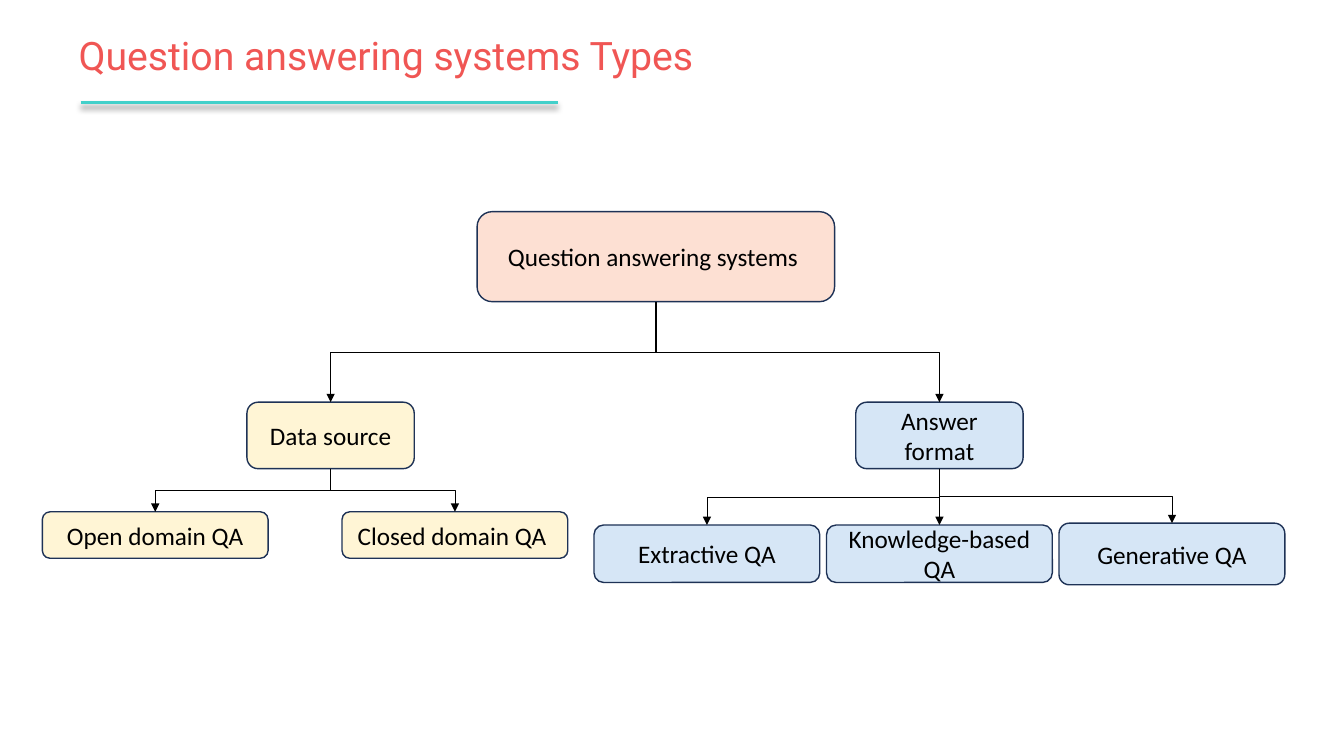
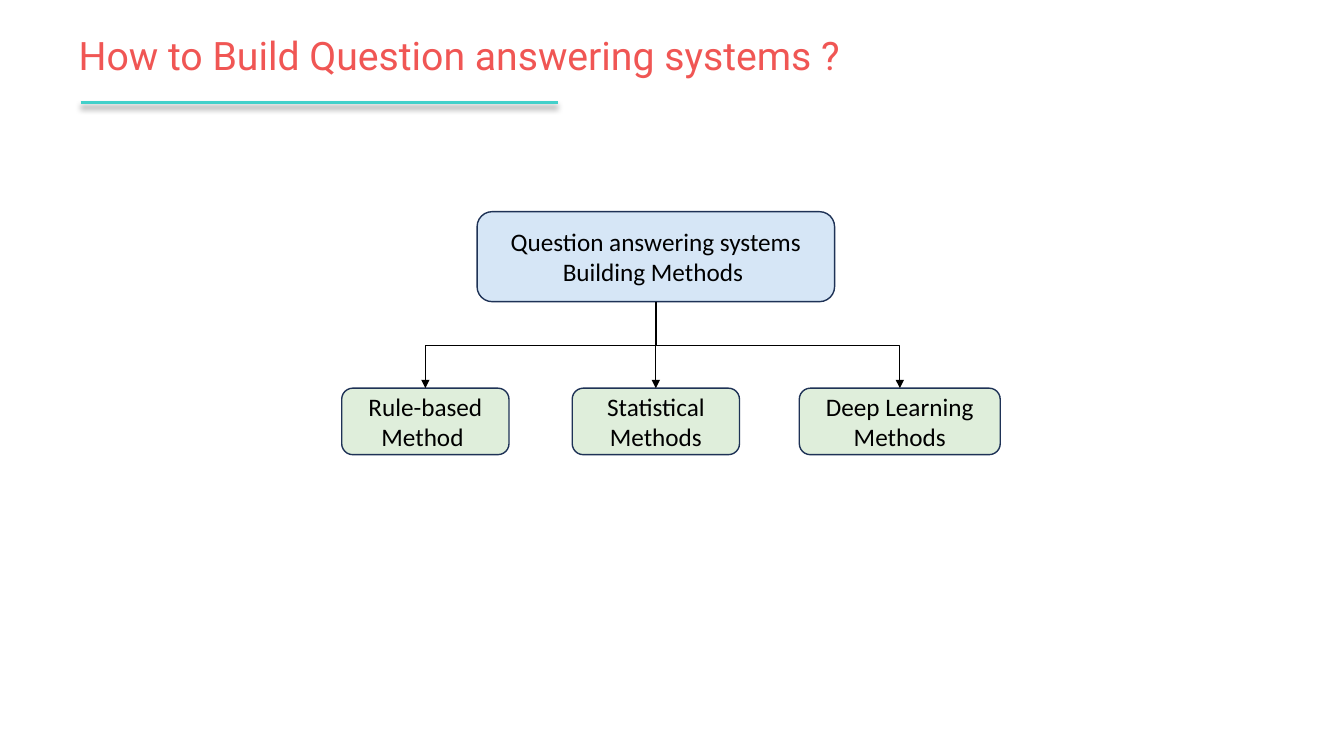
"""Build two slides that show question answering systems as tree diagrams."""
from lxml import etree
from pptx import Presentation, util as u
from pptx.dml.color import RGBColor
from pptx.enum import shapes, text
from pptx.oxml import parse_xml
from pptx.oxml.ns import nsdecls, qn

CORAL, TEAL, NAVY, BLACK = "F05654", "43D0CA", "1E3256", "000000"
PEACH, CREAM, SKY, MINT = "FDE0D3", "FFF5D5", "D6E6F6", "DFEEDB"

ROOT = (48.8, 28, 26.6, 11.9)
BRANCH = (12.45, 8.8)
LEAF_WIDTH = 16.8
DATA_LEAF = (67.7, LEAF_WIDTH, 6.15)
ANSWER_LEAF = (69.45, LEAF_WIDTH, 7.6)
DATA_X, ANSWER_X, ANSWER_STEP = 24.6, 69.9, 17.3
METHOD_TOP = 51.35

# Each node: label, parent label, fill, centre column, top row, columns wide, rows high.
SLIDES = [
    ("Question answering systems Types", [
        ("Question answering systems ", None, PEACH, *ROOT),
        ("Data source", "Question answering systems ", CREAM, DATA_X, 53.2, *BRANCH),
        ("Answer format", "Question answering systems ", SKY, ANSWER_X, 53.2, *BRANCH),
        ("Open domain QA", "Data source", CREAM, 11.55, *DATA_LEAF),
        ("Closed domain QA ", "Data source", CREAM, 33.85, *DATA_LEAF),
        ("Extractive QA", "Answer format", SKY, ANSWER_X - ANSWER_STEP, *ANSWER_LEAF),
        ("Knowledge-based QA", "Answer format", SKY, ANSWER_X, *ANSWER_LEAF),
        ("Generative QA", "Answer format", SKY, ANSWER_X + ANSWER_STEP, 69.2, LEAF_WIDTH, 8.15),
    ]),
    ("How to Build Question answering systems ?", [
        ("Question answering systems\nBuilding Methods ", None, SKY, *ROOT),
        ("Rule-based\nMethod ", "Question answering systems\nBuilding Methods ", MINT,
         31.65, METHOD_TOP, *BRANCH),
        ("Statistical Methods", "Question answering systems\nBuilding Methods ", MINT,
         48.8, METHOD_TOP, *BRANCH),
        ("Deep Learning Methods", "Question answering systems\nBuilding Methods ", MINT,
         66.95, METHOD_TOP, 14.95, 8.8),
    ]),
]


def paint(color_format, color):
    color_format.rgb = RGBColor.from_string(color)


def add_line(slide, kind, ends, color, points):
    line = slide.shapes.add_connector(kind, *[int(end) for end in ends])
    paint(line.line.color, color)
    line.line.width = u.Pt(points)
    effects = etree.SubElement(line._element.spPr, qn("a:effectLst"))
    return line, effects


presentation = Presentation()
presentation.slide_width, presentation.slide_height = u.Inches(13.33), u.Inches(7.5)
column, row = presentation.slide_width / 100, presentation.slide_height / 100
title_only = presentation.slide_layouts.get_by_name("Title Only")

for heading, nodes in SLIDES:
    slide = presentation.slides.add_slide(title_only)

    underline, effects = add_line(
        slide, shapes.MSO_CONNECTOR.STRAIGHT,
        (6 * column, 13.6 * row, 41.5 * column, 13.6 * row), TEAL, 2.25)
    effects.append(parse_xml(
        f'<a:outerShdw {nsdecls("a")} blurRad="{u.Pt(4)}" dist="{u.Pt(3)}" dir="5400000" '
        'rotWithShape="0"><a:srgbClr val="000000"><a:alpha val="40000"/></a:srgbClr></a:outerShdw>'))

    title = slide.shapes.title
    title.left, title.top = int(5.1 * column), int(-2 * row)
    title.width, title.height = int(86.3 * column), int(19.3 * row)
    title.text_frame.text = heading
    title.text_frame.vertical_anchor = text.MSO_ANCHOR.MIDDLE
    paragraph = title.text_frame.paragraphs[0]
    paragraph.alignment = text.PP_ALIGN.LEFT
    paragraph.line_spacing = 0.9
    paragraph.font.name, paragraph.font.size = "Roboto", u.Pt(28)
    paint(paragraph.font.color, CORAL)

    boxes = {}
    for label, parent, fill, center, top, wide, high in nodes:
        box = slide.shapes.add_shape(
            shapes.MSO_SHAPE.ROUNDED_RECTANGLE, int((center - wide / 2) * column),
            int(top * row), int(wide * column), int(high * row))
        boxes[label] = box
        box.shadow.inherit = False
        box.fill.solid()
        paint(box.fill.fore_color, fill)
        paint(box.line.color, NAVY)
        box.line.width = u.Pt(1)
        box.text_frame.text = label
        box.text_frame.word_wrap = True
        box.text_frame.vertical_anchor = text.MSO_ANCHOR.MIDDLE
        for paragraph in box.text_frame.paragraphs:
            paragraph.alignment = text.PP_ALIGN.CENTER
            paragraph.font.name, paragraph.font.size = "Calibri", u.Pt(18)
            paint(paragraph.font.color, BLACK)

        if parent is None:
            continue
        source = boxes[parent]
        start_x, start_y = source.left + source.width // 2, source.top + source.height
        end_x, end_y = box.left + box.width // 2, box.top
        across, down = end_x - start_x, end_y - start_y
        straight = abs(across) < u.Pt(1)
        kind = shapes.MSO_CONNECTOR.STRAIGHT if straight else shapes.MSO_CONNECTOR.ELBOW
        arrow, _ = add_line(slide, kind, (start_x, start_y, end_x, end_y), BLACK, 0.5)
        etree.SubElement(arrow.line._get_or_add_ln(), qn("a:tailEnd"), type="triangle")
        arrow.begin_connect(source, 2)
        arrow.end_connect(box, 0)
        if not straight:
            arrow.left = (start_x + end_x - down) // 2
            arrow.top = (start_y + end_y - abs(across)) // 2
            arrow.width, arrow.height = down, abs(across)
            frame = arrow._element.spPr.find(qn("a:xfrm"))
            frame.set("rot", "5400000" if across < 0 else "16200000")
            frame.set("flipH", "0" if across < 0 else "1")

presentation.save("out.pptx")
